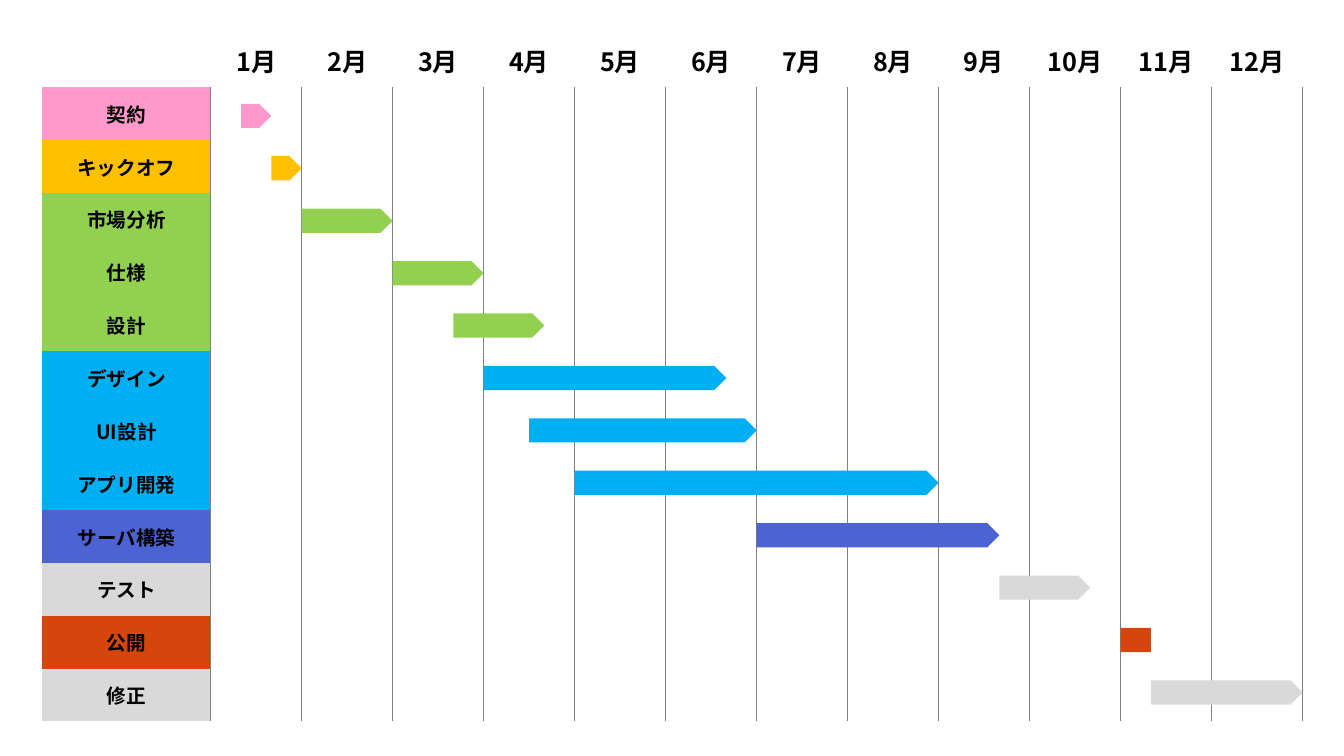
from lxml import etree
from pptx import Presentation
from pptx.dml.color import RGBColor
from pptx.enum.shapes import MSO_SHAPE
from pptx.enum.text import MSO_ANCHOR, PP_ALIGN
from pptx.oxml.ns import qn
from pptx.util import Inches, Pt

MIDDLE = MSO_ANCHOR.MIDDLE
CENTER = PP_ALIGN.CENTER
ARROW = MSO_SHAPE.PENTAGON
BLOCK = MSO_SHAPE.RECTANGLE

BLACK = RGBColor(0x00, 0x00, 0x00)
WHITE = RGBColor(0xFF, 0xFF, 0xFF)
GRID_GRAY = RGBColor(0x80, 0x80, 0x80)
PINK = RGBColor(0xFF, 0x99, 0xCB)
AMBER = RGBColor(0xFF, 0xC0, 0x00)
GREEN = RGBColor(0x92, 0xD1, 0x4F)
CYAN = RGBColor(0x00, 0xAF, 0xF2)
INDIGO = RGBColor(0x4D, 0x63, 0xD3)
SILVER = RGBColor(0xD9, 0xD9, 0xD9)
ORANGE = RGBColor(0xD6, 0x46, 0x0C)

NO_TABLE_STYLE = "{2D5ABB26-0587-4C30-8999-92F81FD0307C}"
MONTHS = 12
LEFT, TOP = 0.42, 0.34
LABEL_WIDTH = 1.67
MONTH_WIDTH = (12.5 - LABEL_WIDTH) / MONTHS
CHART_LEFT = LEFT + LABEL_WIDTH
BAR_TOP, BAR_PITCH, BAR_HEIGHT = 1.03, 0.52, 0.24
STEPS_PER_MONTH = 6

# Start and duration are counted in sixths of a month.
TASKS = [
    ("契約", PINK, 2, 2, ARROW),
    ("キックオフ", AMBER, 4, 2, ARROW),
    ("市場分析", GREEN, 6, 6, ARROW),
    ("仕様", GREEN, 12, 6, ARROW),
    ("設計", GREEN, 16, 6, ARROW),
    ("デザイン", CYAN, 18, 16, ARROW),
    ("UI設計", CYAN, 21, 15, ARROW),
    ("アプリ開発", CYAN, 24, 24, ARROW),
    ("サーバ構築", INDIGO, 36, 16, ARROW),
    ("テスト", SILVER, 52, 6, ARROW),
    ("公開", ORANGE, 60, 2, BLOCK),
    ("修正", SILVER, 62, 10, ARROW),
]
ROWS = len(TASKS) + 1
ROW_HEIGHT = 6.82 / ROWS


class GanttSlide:
    font_name = "Noto Sans CJK JP"
    font_format = {"name": font_name, "bold": True}

    def __init__(self, slide):
        self.slide = slide

    def schedule(self):
        frame = self.slide.shapes.add_table(
            ROWS, MONTHS + 1, Inches(LEFT), Inches(TOP),
            Inches(LABEL_WIDTH + MONTHS * MONTH_WIDTH), Inches(ROWS * ROW_HEIGHT))
        schedule = frame.table
        for flag in ("first_row", "horz_banding"):
            setattr(schedule, flag, False)
        frame._element.find(".//" + qn("a:tableStyleId")).text = NO_TABLE_STYLE
        for index, column in enumerate(schedule.columns):
            column.width = Inches(MONTH_WIDTH if index else LABEL_WIDTH)
        for row in schedule.rows:
            row.height = Inches(ROW_HEIGHT)
        return schedule

    def border(self, cell, side):
        line = etree.SubElement(
            cell._tc.get_or_add_tcPr(), qn("a:" + side), w=str(Pt(0.5)))
        solid = etree.SubElement(line, qn("a:solidFill"))
        etree.SubElement(solid, qn("a:srgbClr"), val=str(GRID_GRAY))

    def label(self, cell, text, size, color):
        cell.fill.solid()
        cell.fill.fore_color.rgb = color
        cell.vertical_anchor = MIDDLE
        paragraph = cell.text_frame.paragraphs[0]
        paragraph.alignment = CENTER
        run = paragraph.add_run()
        run.text = text
        for name, value in {**self.font_format, "size": Pt(size)}.items():
            setattr(run.font, name, value)
        run.font.color.rgb = BLACK
        etree.SubElement(
            run.font._element, qn("a:ea"), typeface=self.font_name)

    def bar(self, row, color, start, duration, outline):
        step = MONTH_WIDTH / STEPS_PER_MONTH
        bar = self.slide.shapes.add_shape(
            outline, Inches(CHART_LEFT + start * step),
            Inches(BAR_TOP + row * BAR_PITCH),
            Inches(duration * step), Inches(BAR_HEIGHT))
        bar.shadow.inherit = False
        bar.fill.solid()
        bar.fill.fore_color.rgb = color
        bar.line.fill.background()


def main():
    presentation = Presentation()
    presentation.slide_width = Inches(13.33)
    presentation.slide_height = Inches(7.5)
    gantt = GanttSlide(presentation.slides.add_slide(presentation.slide_layouts[6]))
    schedule = gantt.schedule()

    for month in range(1, MONTHS + 1):
        gantt.label(schedule.cell(0, month), f"{month}月", 18, WHITE)
    for row, (task, color, start, duration, outline) in enumerate(TASKS):
        for column in range(MONTHS + 1):
            cell = schedule.cell(row + 1, column)
            for side in ("lnL", "lnR") if column else ("lnR",):
                gantt.border(cell, side)
        gantt.label(schedule.cell(row + 1, 0), task, 14, color)
        gantt.bar(row, color, start, duration, outline)

    presentation.save("out.pptx")


if __name__ == "__main__":
    main()
